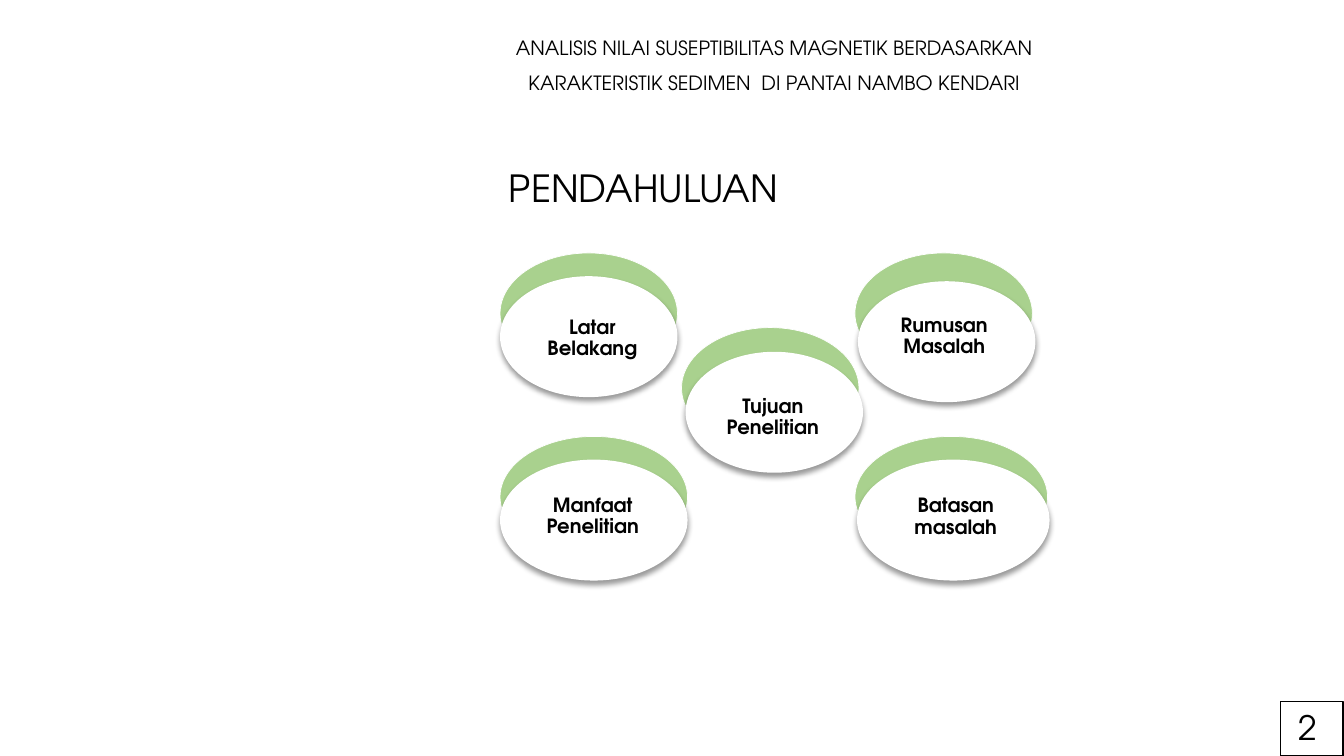
from lxml import etree
from pptx import Presentation
from pptx.dml.color import RGBColor
from pptx.enum import shapes, text
from pptx.oxml.ns import qn
from pptx.util import Inches, Pt

BLACK = RGBColor(0x00, 0x00, 0x00)
WHITE = RGBColor(0xFF, 0xFF, 0xFF)
GREEN = RGBColor(0xA9, 0xD1, 0x8E)
FONT = "TeX Gyre Adventor"
OVAL_HEIGHT = 1.2

HEADER = ("ANALISIS NILAI SUSEPTIBILITAS MAGNETIK BERDASARKAN "
          "KARAKTERISTIK SEDIMEN  DI PANTAI NAMBO KENDARI")
HEADING = "PENDAHULUAN"
PAGE_NUMBER = "2"

# label, oval left, top and width, shift of the white oval, label box
TOPICS = [
    ("Latar Belakang", (4.96, 2.51, 1.76), (0, 0.23), (5.28, 2.96, 1.19, 0.8)),
    ("Rumusan Masalah", (8.48, 2.51, 1.76), (0.03, 0.28), (8.67, 3.02, 1.39, 0.64)),
    ("Manfaat Penelitian", (4.96, 4.33, 1.86), (0, 0.23), (5.25, 4.56, 1.26, 1.13)),
    ("Batasan masalah", (8.48, 4.33, 1.91), (0.02, 0.23), (8.66, 4.81, 1.64, 0.64)),
    ("Tujuan Penelitian", (6.76, 3.25, 1.76), (0.04, 0.24), (6.89, 3.41, 1.55, 1.46)),
]

HEADER_FORMAT = {"alignment": text.PP_ALIGN.CENTER, "line_spacing": 1.5, "space_after": Pt(8)}
HEADING_FORMAT = {"alignment": text.PP_ALIGN.CENTER, "line_spacing": 1.0}
LABEL_FORMAT = {"alignment": text.PP_ALIGN.CENTER, "line_spacing": 0.9}
NUMBER_FORMAT = {"alignment": text.PP_ALIGN.LEFT}


def write(holder, words, size, paragraph_format, bold=False,
          anchor=text.MSO_ANCHOR.TOP, wrap=True):
    frame = holder.text_frame
    frame.text = words
    frame_format = {"word_wrap": wrap, "vertical_anchor": anchor,
                    "auto_size": text.MSO_AUTO_SIZE.NONE}
    for name, value in frame_format.items():
        setattr(frame, name, value)
    paragraph = frame.paragraphs[0]
    for name, value in paragraph_format.items():
        setattr(paragraph, name, value)
    font = paragraph.runs[0].font
    for name, value in {"name": FONT, "size": Pt(size), "bold": bold}.items():
        setattr(font, name, value)
    font.color.rgb = BLACK


def add_box(slide, box, *args, **kwargs):
    """Add a text box holding one formatted paragraph."""
    write(slide.shapes.add_textbox(*map(Inches, box)), *args, **kwargs)


def add_filled(slide, kind, box, fill, line=None, line_width=1):
    part = slide.shapes.add_shape(kind, *map(Inches, box))
    part.shadow.inherit = False
    part.fill.solid()
    part.fill.fore_color.rgb = fill
    if line is None:
        part.line.fill.background()
    else:
        part.line.color.rgb = line
        part.line.width = Pt(line_width)
    return part


def drop_shadow(part):
    effects = part.element.spPr.find(qn("a:effectLst"))
    shadow = etree.SubElement(effects, qn("a:outerShdw"), blurRad=str(Pt(4)),
                              dist=str(Pt(3)), dir="5400000", rotWithShape="0")
    color = etree.SubElement(shadow, qn("a:srgbClr"), val=str(BLACK))
    etree.SubElement(color, qn("a:alpha"), val="40000")


def add_topic(slide, label, oval, shift, label_box):
    left, top, width = oval
    kind = shapes.MSO_SHAPE.OVAL
    add_filled(slide, kind, (left, top, width, OVAL_HEIGHT), GREEN, WHITE, 0.5)
    front = (left + shift[0], top + shift[1], width, OVAL_HEIGHT)
    drop_shadow(add_filled(slide, kind, front, WHITE))
    add_box(slide, label_box, label, 14, LABEL_FORMAT, bold=True,
            anchor=text.MSO_ANCHOR.MIDDLE)


def main():
    deck = Presentation()
    deck.slide_width, deck.slide_height = Inches(13.33), Inches(7.5)
    slide = deck.slides.add_slide(deck.slide_layouts[5])

    heading = slide.shapes.title
    heading.left, heading.top, heading.width, heading.height = map(
        Inches, (4.92, 1.59, 2.93, 0.55))
    write(heading, HEADING, 26.7, HEADING_FORMAT, wrap=False)

    add_filled(slide, shapes.MSO_SHAPE.RECTANGLE, (12.7, 6.96, 0.62, 0.54), WHITE, BLACK)
    add_box(slide, (12.78, 6.96, 0.46, 0.5), PAGE_NUMBER, 24, NUMBER_FORMAT)
    add_box(slide, (4.99, 0.19, 5.38, 0.76), HEADER, 14, HEADER_FORMAT)
    for topic in TOPICS:
        add_topic(slide, *topic)

    deck.save("out.pptx")


if __name__ == "__main__":
    main()
